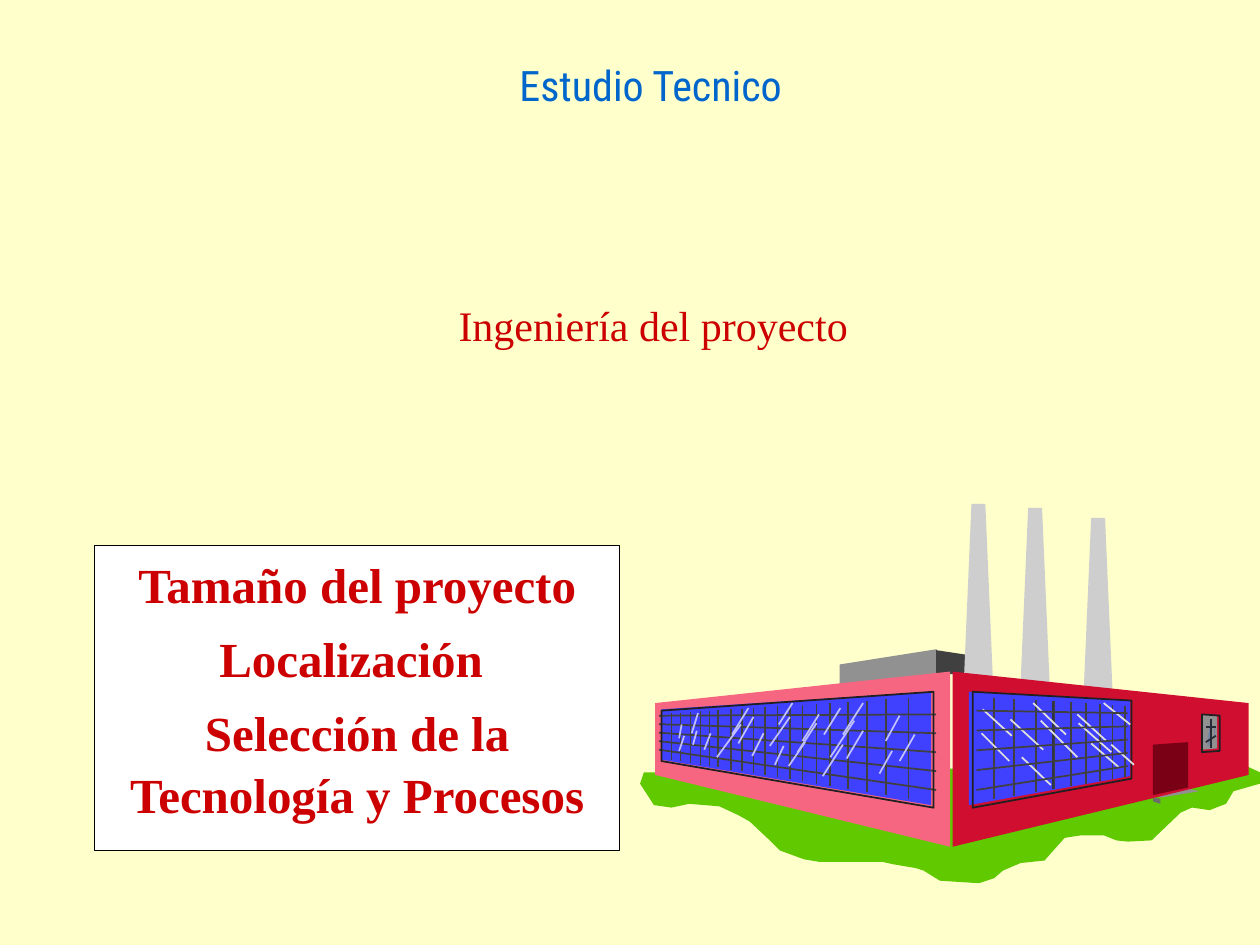
"""Build the technical study slide with its factory drawing."""
from dataclasses import dataclass

from lxml import etree
from pptx import Presentation
from pptx.dml.color import RGBColor
from pptx.enum.shapes import MSO_CONNECTOR, MSO_SHAPE
from pptx.enum.text import MSO_ANCHOR, PP_ALIGN
from pptx.oxml.ns import qn
from pptx.util import Inches, Pt

STRAIGHT = MSO_CONNECTOR.STRAIGHT
RECT = MSO_SHAPE.RECTANGLE
CENTER = PP_ALIGN.CENTER
TOP = MSO_ANCHOR.TOP
WIDE, HIGH = Inches(10), Inches(7.5)
CELL = WIDE // 1000


@dataclass(frozen=True)
class Theme:
    """Colours, fonts and type sizes of the slide."""
    page: str = "FFFFCC"
    title: str = "0066CC"
    text: str = "CC0000"
    card: str = "FFFFFF"
    edge: str = "000000"
    grass: str = "60C900"
    stack: str = "CECECE"
    gray: str = "919191"
    dark: str = "404040"
    step: str = "6C6C6C"
    sill: str = "563500"
    beam: str = "2F1D00"
    pink: str = "F76681"
    red: str = "CF0E30"
    door: str = "790015"
    glass: str = "4040FF"
    frame: str = "202020"
    bar: str = "303543"
    latch: str = "272B36"
    steel: str = "7485A4"
    blue_glint: str = "C0C0FF"
    pale_glint: str = "E0E0E0"
    sans: str = "Roboto Condensed"
    serif: str = "Times New Roman"
    head: int = 24
    body: int = 28


T = Theme()

GRASS = [
    (527, 613), (511, 613), (508, 622), (519, 639), (533, 641), (547, 638),
    (571, 640), (586, 647), (595, 652), (612, 668), (619, 675), (638, 682),
    (650, 684), (700, 684), (709, 686), (727, 689), (733, 691), (746, 699),
    (777, 701), (789, 697), (796, 691), (810, 685), (829, 683), (845, 665),
    (858, 663), (876, 663), (886, 667), (895, 668), (914, 667), (937, 645),
    (946, 641), (960, 643), (973, 638), (979, 628), (1000, 622), (1000, 613),
    (987, 607)]
LEFT_BARS = [533, 540, 548, 556, 563, 570, 580, 589, 598, 607, 617, 627,
             637, 648, 659, 673, 688, 703, 721]
RIGHT_BARS = [789, 805, 822, 837, 850, 862, 873, 883, 893]
LEFT_GLINTS = [
    (539, 586, 541, 575), (549, 582, 554, 566), (539, 596, 543, 584),
    (550, 591, 553, 580), (581, 583, 594, 562), (569, 601, 588, 575),
    (586, 590, 598, 569), (559, 595, 564, 582), (618, 575, 629, 558),
    (597, 600, 606, 582), (611, 592, 627, 569), (615, 607, 622, 592),
    (633, 597, 648, 574), (654, 583, 667, 562), (637, 588, 650, 567),
    (626, 608, 639, 589), (669, 583, 685, 558), (659, 601, 678, 572),
    (653, 616, 669, 591), (672, 602, 685, 580), (703, 588, 714, 568),
    (698, 614, 708, 596), (714, 604, 726, 583)]
RIGHT_GLINTS = [
    (897, 575, 876, 558), (900, 607, 882, 591), (882, 597, 856, 574),
    (803, 584, 780, 563), (878, 588, 855, 567), (888, 609, 866, 590),
    (846, 583, 820, 558), (855, 601, 826, 572), (828, 595, 802, 571),
    (834, 623, 811, 601), (801, 604, 779, 582)]
HATCH_LINES = [(957, 577, 965, 577), (957, 589, 965, 584), (961, 571, 961, 594)]
HATCH_GLINTS = [(959, 587, 961, 577), (959, 592, 960, 582), (964, 584, 964, 576)]


def paint(shape, fill=None, line=None, width=1):
    """Set the fill and outline of a shape and drop its shadow."""
    shape.shadow.inherit = False
    for part, color in ((shape.fill, fill), (shape.line.fill, line)):
        if color:
            part.solid()
            part.fore_color.rgb = RGBColor.from_string(color)
        else:
            part.background()
    if line:
        shape.line.width = Pt(width)


def poly(shapes, dots, fill=None, line=None):
    """Draw a closed outline through grid points."""
    maker = shapes.build_freeform(*dots[0], scale=CELL)
    maker.add_line_segments(dots[1:], close=True)
    paint(maker.convert_to_shape(), fill, line)


def rule(shapes, ends, color):
    """Draw a straight line between two grid points."""
    link = shapes.add_connector(STRAIGHT, *(round(end * CELL) for end in ends))
    link.line.color.rgb = RGBColor.from_string(color)
    link.line.width = Pt(1)
    etree.SubElement(link._element.spPr, qn("a:effectLst"))


def rules(shapes, lines, color):
    """Draw several lines in one colour."""
    for ends in lines:
        rule(shapes, ends, color)


def write(shape, text, font, size, color, bold=False, gap=0, lead=None):
    """Write centred paragraphs into a shape."""
    frame = shape.text_frame
    frame.word_wrap = True
    frame.vertical_anchor = TOP
    for index, words in enumerate(text.split("\n")):
        para = frame.paragraphs[0] if index == 0 else frame.add_paragraph()
        para.alignment = CENTER
        para.space_before = Pt(gap if index else 0)
        if lead:
            para.line_spacing = lead
        run = para.add_run()
        run.text = words
        run.font.name, run.font.size, run.font.bold = font, Pt(size), bold
        run.font.color.rgb = RGBColor.from_string(color)


def area(*cells):
    """Turn grid cells into lengths."""
    return [cell * CELL for cell in cells]


def bars(marks, first, last):
    """Space upright bars between two (x, top, foot) bars in perspective."""
    for mark in marks:
        part = (mark - first[0]) / (last[0] - first[0])
        top, foot = (a + part * (b - a) for a, b in zip(first[1:], last[1:]))
        yield mark, top, mark, foot


def rows(start, end, drop, fall):
    """Space five cross bars that fan out from one side to the other."""
    return [(start[0], start[1] + drop * i, end[0], end[1] + fall * i)
            for i in range(5)]


def plant(shapes):
    """Draw the roof block, the stacks, the lawn and the walls."""
    poly(shapes, [(667, 545), (667, 528), (743, 516), (743, 537)], T.gray, T.gray)
    poly(shapes, [(743, 516), (743, 535), (776, 535), (776, 521)], T.dark)
    for left, top, foot in ((764, 400, 563), (809, 403, 565), (859, 411, 573)):
        poly(shapes, [(left, foot), (left + 7, top), (left + 18, top),
                      (left + 25, foot)], T.stack)
    poly(shapes, GRASS, T.grass)
    poly(shapes, [(915, 632), (943, 626), (952, 628), (922, 633)], T.gray)
    poly(shapes, [(915, 633), (921, 634), (921, 638), (915, 636)], T.step)
    poly(shapes, [(915, 590), (943, 589), (940, 590), (915, 591)], T.beam)
    poly(shapes, [(915, 631), (943, 626), (940, 625), (915, 630)], T.sill)
    poly(shapes, [(754, 533), (754, 672), (520, 615), (520, 558)], T.pink)
    poly(shapes, [(756, 533), (756, 672), (991, 615), (991, 558)], T.red)


def panes(shapes):
    """Draw the two windows, the door and the hatch."""
    poly(shapes, [(525, 563), (525, 603), (739, 639), (739, 549)], T.glass)
    rules(shapes, rows((743, 567), (523, 568), 15, 6.75), T.dark)
    rules(shapes, bars(LEFT_BARS, (533, 566, 603), (721, 554, 634)), T.dark)
    poly(shapes, [(525, 564), (525, 604), (741, 641), (741, 549)], line=T.frame)
    rules(shapes, LEFT_GLINTS, T.blue_glint)
    poly(shapes, [(915, 631), (915, 591), (943, 589), (943, 625)], T.door)
    poly(shapes, [(954, 567), (966, 568), (966, 594), (954, 595)], T.gray)
    rules(shapes, HATCH_GLINTS, T.steel)
    rules(shapes, HATCH_LINES, T.latch)
    poly(shapes, [(954, 567), (968, 568), (968, 596), (954, 597)], line=T.frame)
    poly(shapes, [(897, 556), (897, 616), (769, 639), (769, 549)], T.glass)
    ends = (789, 554, 634), (893, 560, 617)
    rules(shapes, bars((822, 836, 850), *ends), T.bar)
    poly(shapes, [(772, 549), (772, 641), (898, 618), (898, 556)], line=T.frame)
    rules(shapes, bars(RIGHT_BARS, *ends), T.dark)
    rules(shapes, RIGHT_GLINTS, T.pale_glint)
    rules(shapes, rows((775, 564), (895, 566), 15.75, 10.5), T.dark)


def main():
    """Build and save the slide."""
    deck = Presentation()
    deck.slide_width, deck.slide_height = WIDE, HIGH
    slide = deck.slides.add_slide(deck.slide_layouts[6])
    slide.background.fill.solid()
    slide.background.fill.fore_color.rgb = RGBColor.from_string(T.page)
    shapes = slide.shapes
    group = shapes.add_group_shape().shapes
    plant(group)
    panes(group)
    write(shapes.add_textbox(*area(275, 42, 483, 150)), "Estudio Tecnico",
          font=T.sans, size=T.head, color=T.title)
    write(shapes.add_textbox(*area(167, 233, 703, 172)), "Ingeniería del proyecto",
          font=T.serif, size=T.head, color=T.text)
    card = shapes.add_shape(RECT, *area(75, 433, 417, 242))
    paint(card, T.card, T.edge, 0.75)
    write(card, "Tamaño del proyecto\nLocalización \nSelección de la Tecnología y Procesos",
          font=T.serif, size=T.body, color=T.text, bold=True, gap=7, lead=1.05)
    deck.save("out.pptx")


if __name__ == "__main__":
    main()
